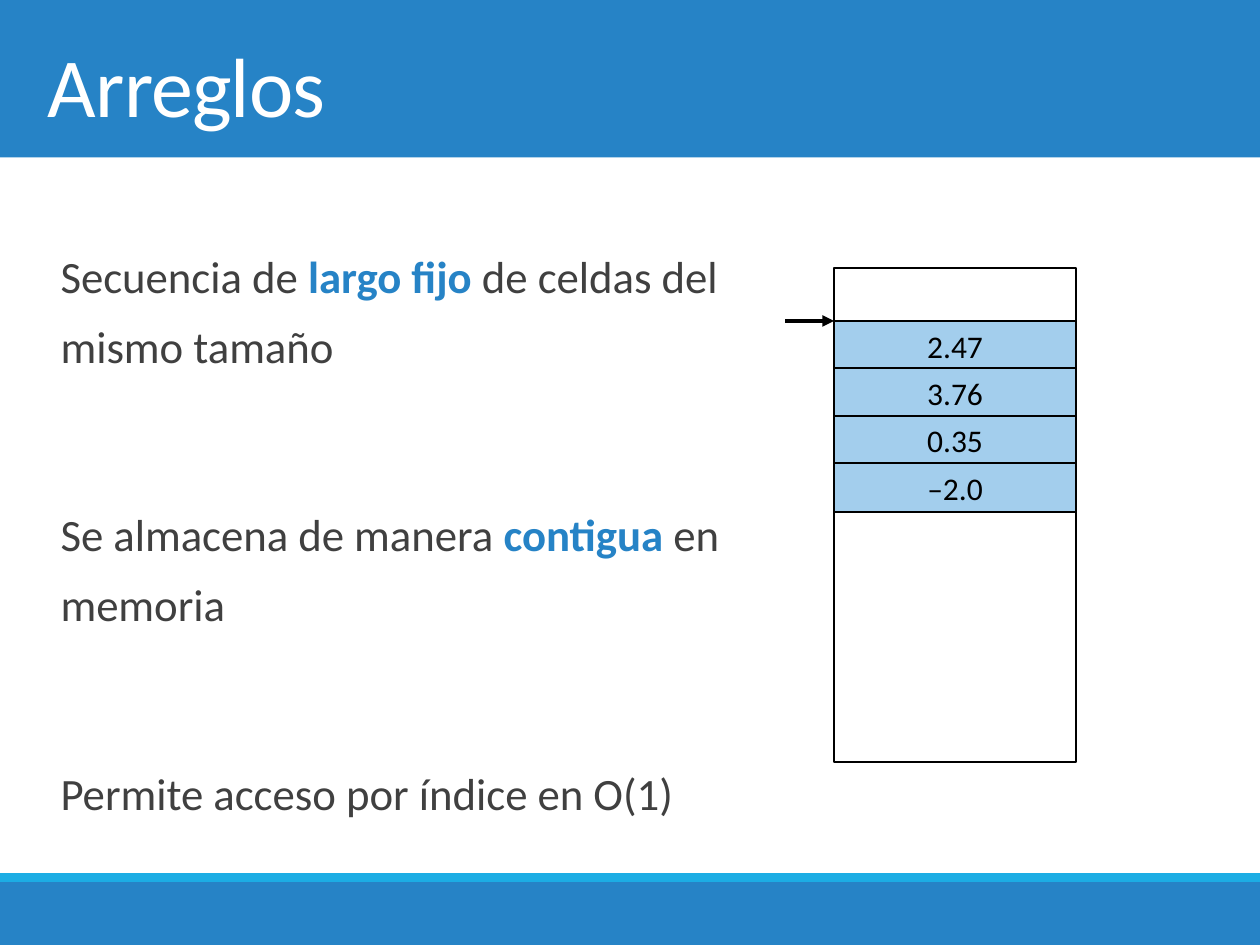
from dataclasses import dataclass
from lxml.etree import SubElement
from pptx import Presentation
from pptx.dml.color import RGBColor
from pptx.enum.shapes import MSO_CONNECTOR, MSO_SHAPE
from pptx.enum.text import MSO_ANCHOR, MSO_AUTO_SIZE, PP_ALIGN
from pptx.oxml.ns import qn
from pptx.shapes.autoshape import Shape
from pptx.slide import Slide
from pptx.util import Pt

BLUE = RGBColor(0x26, 0x83, 0xC6)
CYAN = RGBColor(0x1C, 0xAD, 0xE4)
CELL_BLUE = RGBColor(0xA3, 0xCE, 0xED)
GRAY = RGBColor(0x40, 0x40, 0x40)
BLACK = RGBColor(0, 0, 0)
WHITE = RGBColor(0xFF, 0xFF, 0xFF)
FONT = "Calibri"


@dataclass
class Box:
    left: float
    top: float
    width: float
    height: float
    fill: RGBColor
    outlined: bool = False
    text: str = ""


@dataclass
class Statement:
    before: str
    key: str = ""
    after: str = ""


BANDS = [
    Box(0, 0, 720, 90, BLUE),
    Box(0, 504, 720, 36, BLUE),
    Box(0, 499, 720, 5, CYAN),
]
STATEMENTS = [
    Statement("Secuencia de ", "largo fijo", " de celdas del mismo tamaño"),
    Statement("Se almacena de manera ", "contigua", " en memoria"),
    Statement("Permite acceso por índice en O(1)"),
]
MEMORY = Box(476.6, 153.2, 138.3, 282.2, WHITE, True)
VALUES = ["2.47", "3.76", "0.35", "–2.0"]
CELL_TOP, CELL_PITCH, CELL_HEIGHT = 183.4, 27.1, 28
ARROW_LENGTH = 28


def add_box(slide: Slide, box: Box) -> Shape:
    sp = slide.shapes.add_shape(
        MSO_SHAPE.RECTANGLE, Pt(box.left), Pt(box.top), Pt(box.width), Pt(box.height)
    )
    sp.shadow.inherit = False
    sp.fill.solid()
    sp.fill.fore_color.rgb = box.fill
    if box.outlined:
        sp.line.color.rgb = BLACK
        sp.line.width = Pt(1.25)
    else:
        sp.line.fill.background()
    if box.text:
        tf = sp.text_frame
        tf.vertical_anchor = MSO_ANCHOR.MIDDLE
        p = tf.paragraphs[0]
        p.text = box.text
        p.alignment = PP_ALIGN.CENTER
        p.font.name = FONT
        p.font.size = Pt(18)
        p.font.color.rgb = BLACK
    return sp


def add_arrow(slide: Slide, left: float, right: float, y: float) -> None:
    line = slide.shapes.add_connector(
        MSO_CONNECTOR.STRAIGHT, Pt(left), Pt(y), Pt(right), Pt(y)
    )
    line.line.color.rgb = BLACK
    line.line.width = Pt(2.25)
    SubElement(line.line._get_or_add_ln(), qn("a:tailEnd"), type="triangle")
    SubElement(line.element.spPr, qn("a:effectLst"))


def set_title(slide: Slide, text: str) -> None:
    title = slide.shapes.title
    title.left, title.top, title.width, title.height = Pt(20.2), Pt(0), Pt(680.4), Pt(90)
    title.element.getparent().append(title.element)
    tf = title.text_frame
    tf.auto_size = MSO_AUTO_SIZE.NONE
    tf.vertical_anchor = MSO_ANCHOR.MIDDLE
    tf.margin_top = Pt(9)
    p = tf.paragraphs[0]
    p.alignment = PP_ALIGN.LEFT
    r = p.add_run()
    r.text = text
    r.font.name = FONT
    r.font.size = Pt(48)
    r.font.color.rgb = WHITE
    r.font._element.set("spc", "-50")


def add_statements(slide: Slide, statements: list[Statement]) -> None:
    sp = slide.shapes.add_textbox(Pt(20.2), Pt(101.5), Pt(399.6), Pt(386))
    tf = sp.text_frame
    tf.word_wrap = True
    tf.vertical_anchor = MSO_ANCHOR.MIDDLE
    tf.margin_left = Pt(14.4)
    tf.margin_top = Pt(15.6)
    for i, statement in enumerate(statements):
        p = tf.add_paragraph() if i else tf.paragraphs[0]
        p.line_spacing = 1.3
        p.space_before = Pt(66 if i else 0)
        p.space_after = Pt(2)
        p.font.name = FONT
        p.font.size = Pt(25.6)
        for text in (statement.before, statement.key, statement.after):
            if text:
                r = p.add_run()
                r.text = text
                is_key = text == statement.key
                r.font.bold = is_key
                r.font.color.rgb = BLUE if is_key else GRAY


def main() -> None:
    prs = Presentation()
    prs.slide_width, prs.slide_height = Pt(720), Pt(540)
    slide = prs.slides.add_slide(prs.slide_layouts[5])
    for band in BANDS:
        add_box(slide, band)
    set_title(slide, "Arreglos")
    add_statements(slide, STATEMENTS)
    add_box(slide, MEMORY)
    for i, value in enumerate(VALUES):
        top = CELL_TOP + i * CELL_PITCH
        add_box(slide, Box(MEMORY.left, top, MEMORY.width, CELL_HEIGHT, CELL_BLUE, True, value))
    add_arrow(slide, MEMORY.left - ARROW_LENGTH, MEMORY.left, CELL_TOP)
    prs.save("out.pptx")


if __name__ == "__main__":
    main()
